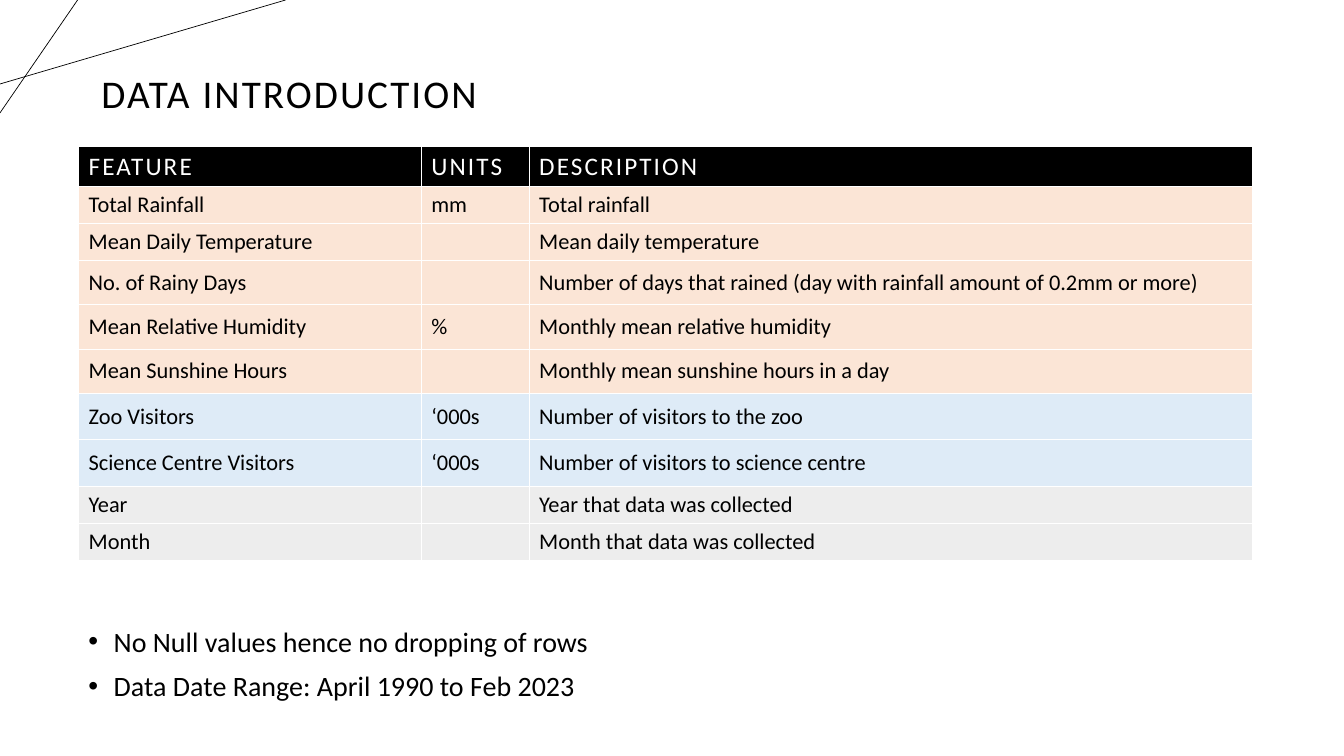
from lxml.etree import SubElement
from pptx import Presentation
from pptx.dml.color import RGBColor
from pptx.enum.shapes import MSO_CONNECTOR
from pptx.enum.text import MSO_ANCHOR, PP_ALIGN
from pptx.oxml.ns import qn
from pptx.util import Emu, Inches, Pt

COLUMNS, ROWS = 160, 90
UNIT = Inches(1) / 12
FONT = "Calibri"
BLACK, WHITE = "000000", "FFFFFF"
WEATHER, VISITORS, DATES = "FBE5D6", "DEEBF7", "EDEDED"

HEADINGS = ("FEATURE", "UNITS", "DESCRIPTION")
COLUMN_WIDTHS = (40.8, 12.84, 86.16)
HEADING_HEIGHT = 3.48
# Height, fill and cell texts of each feature
FEATURES = [
    (3.84, WEATHER, ("Total Rainfall", "mm", "Total rainfall")),
    (3.84, WEATHER, ("Mean Daily Temperature", "", "Mean daily temperature")),
    (5.28, WEATHER, ("No. of Rainy Days", "",
                     "Number of days that rained (day with rainfall amount of 0.2mm or more)")),
    (5.28, WEATHER, ("Mean Relative Humidity", "%", "Monthly mean relative humidity")),
    (5.28, WEATHER, ("Mean Sunshine Hours", "", "Monthly mean sunshine hours in a day")),
    (5.52, VISITORS, ("Zoo Visitors", "‘000s", "Number of visitors to the zoo")),
    (5.52, VISITORS, ("Science Centre Visitors", "‘000s", "Number of visitors to science centre")),
    (3.84, DATES, ("Year", "", "Year that data was collected")),
    (3.84, DATES, ("Month", "", "Month that data was collected")),
]
REMARKS = ("No Null values hence no dropping of rows",
           "Data Date Range: April 1990 to Feb 2023")


def grid(*lengths):
    """Turn grid columns or rows into slide lengths."""
    return [Emu(round(length * UNIT)) for length in lengths]


def color(hex_code):
    return RGBColor.from_string(hex_code)


def add_run(paragraph, text, size, hex_code=BLACK, spacing=0):
    """Add one run; spacing is the letter spacing in points."""
    run = paragraph.add_run()
    run.text = text
    run.font.name = FONT
    run.font.size = Pt(size)
    run.font.bold = False
    run.font.color.rgb = color(hex_code)
    if spacing:
        run.font._element.set("spc", str(round(spacing * 100)))


def add_corner_lines(slide, far, near):
    """Draw two lines that cross in the corner; far and near give their reach."""
    (far_x, far_y), (near_x, near_y) = far, near
    for ends in ((0, far_y, far_x, 0), (near_x, 0, 0, near_y)):
        line = slide.shapes.add_connector(MSO_CONNECTOR.STRAIGHT, *grid(*ends))
        line.line.color.rgb = color(BLACK)
        line.line.width = Pt(0.5)
        SubElement(line._element.spPr, qn("a:effectLst"))


def add_title(slide, box):
    frame = slide.shapes.add_textbox(*grid(*box)).text_frame
    frame.word_wrap = True
    frame.vertical_anchor = MSO_ANCHOR.MIDDLE
    title = frame.paragraphs[0]
    title.alignment = PP_ALIGN.CENTER
    title.line_spacing = 0.9
    add_run(title, "DATA INTRODUCTION", 28, spacing=1.5)


def fill_cell(cell, text, fill, size, hex_code, spacing):
    cell.fill.solid()
    cell.fill.fore_color.rgb = color(fill)
    cell.vertical_anchor = MSO_ANCHOR.MIDDLE
    paragraph = cell.text_frame.paragraphs[0]
    if text:
        add_run(paragraph, text, size, hex_code, spacing)
    else:
        SubElement(paragraph._p, qn("a:endParaRPr"), sz=str(size * 100))


def add_feature_table(slide, left, top):
    lines = [(HEADING_HEIGHT, BLACK, HEADINGS)] + FEATURES
    box = (left, top, sum(COLUMN_WIDTHS), sum(line[0] for line in lines))
    table = slide.shapes.add_table(len(lines), len(HEADINGS), *grid(*box)).table
    table.horz_banding = False
    for column, width in zip(table.columns, grid(*COLUMN_WIDTHS)):
        column.width = width
    for index, (height, fill, texts) in enumerate(lines):
        row = table.rows[index]
        row.height = grid(height)[0]
        style = (16, BLACK, 0) if index else (18, WHITE, 1.5)
        for cell, text in zip(row.cells, texts):
            fill_cell(cell, text, fill, *style)


def add_remarks(slide, box):
    frame = slide.shapes.add_textbox(*grid(*box)).text_frame
    frame.word_wrap = True
    for index, text in enumerate(REMARKS):
        remark = frame.add_paragraph() if index else frame.paragraphs[0]
        remark.line_spacing = 0.9
        remark.space_before = Pt(10)
        properties = remark._p.get_or_add_pPr()
        indent = Inches(0.25)
        properties.set("marL", str(indent))
        properties.set("indent", str(-indent))
        SubElement(properties, qn("a:buFont"), typeface="Arial")
        SubElement(properties, qn("a:buChar"), char="•")
        add_run(remark, text, 20)


def main():
    deck = Presentation()
    deck.slide_width, deck.slide_height = grid(COLUMNS, ROWS)
    slide = deck.slides.add_slide(deck.slide_layouts[6])
    add_corner_lines(slide, far=(34, 10), near=(9.24, 13.44))
    add_title(slide, (-1.68, 2.76, 72.24, 17.4))
    add_feature_table(slide, 9.36, 17.4)
    add_remarks(slide, (9.36, 74.16, 138, 7.44))
    deck.save("out.pptx")


if __name__ == "__main__":
    main()
